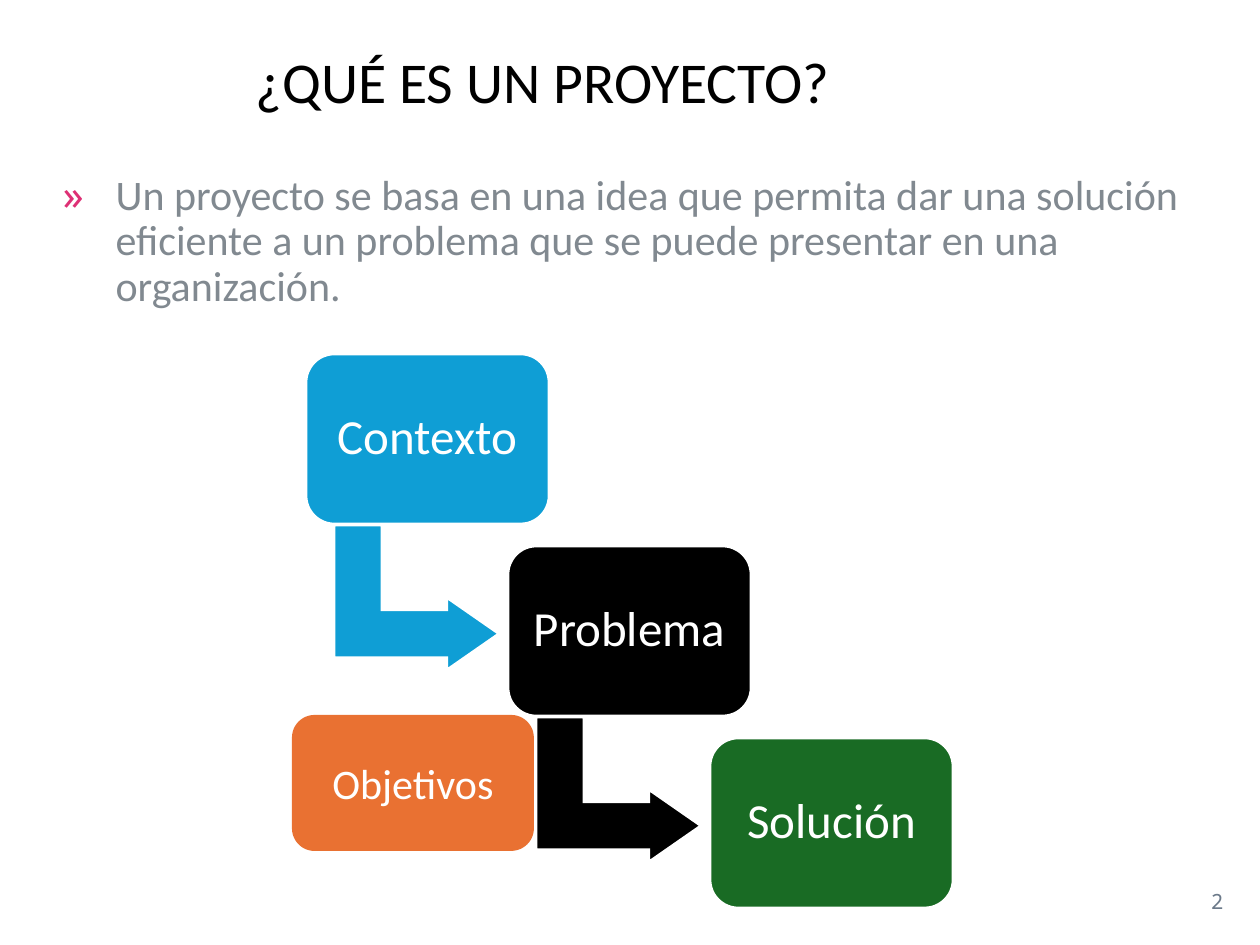
from lxml.etree import SubElement
from pptx import Presentation
from pptx.dml.color import RGBColor
from pptx.enum.shapes import MSO_SHAPE
from pptx.enum.text import MSO_ANCHOR, MSO_AUTO_SIZE, PP_ALIGN
from pptx.oxml.ns import qn
from pptx.util import Emu, Pt

PX_PER_INCH = 126
WHITE = RGBColor(0xFF, 0xFF, 0xFF)
BLACK = RGBColor(0x00, 0x00, 0x00)
BLUE = RGBColor(0x0F, 0x9E, 0xD5)
GREEN = RGBColor(0x19, 0x6B, 0x24)
ORANGE = RGBColor(0xE9, 0x71, 0x32)
GRAY = RGBColor(0x81, 0x89, 0x90)
SLATE = RGBColor(0x6C, 0x7A, 0x8A)
PINK = RGBColor(0xDE, 0x30, 0x75)

STAGES = [("Contexto", BLUE), ("Problema", BLACK), ("Solución", GREEN)]
STEP_X, STEP_Y = 202, 192


def px(n):
    """Turn pixels into EMU."""
    return Emu(round(n * 914400 / PX_PER_INCH))


def place(sp, left, top, width, height):
    """Move and size a shape in pixels."""
    sp.left, sp.top, sp.width, sp.height = map(px, (left, top, width, height))


def write(sp, text, size, color, font="Calibri", align=PP_ALIGN.LEFT,
          anchor=MSO_ANCHOR.MIDDLE, spacing=0.9):
    """Put one formatted paragraph in a shape and return the paragraph."""
    tf = sp.text_frame
    tf.word_wrap = True
    tf.auto_size = MSO_AUTO_SIZE.NONE
    tf.vertical_anchor = anchor
    p = tf.paragraphs[0]
    p.alignment = align
    p.line_spacing = spacing
    p.space_before = Pt(0)
    r = p.add_run()
    r.text = text
    r.font.name = font
    r.font.size = Pt(size)
    r.font.color.rgb = color
    return p


def add_bullet(p, char, color, margin, hang):
    """Give a paragraph a coloured bullet and a hanging indent."""
    pPr = p._p.get_or_add_pPr()
    pPr.set("marL", str(px(margin)))
    pPr.set("indent", str(-px(hang)))
    clr = SubElement(pPr, qn("a:buClr"))
    SubElement(clr, qn("a:srgbClr"), val=str(color))
    SubElement(pPr, qn("a:buFont"), typeface="Noto Sans Mono")
    SubElement(pPr, qn("a:buChar"), char=char)


def add_block(s, kind, box, fill, outlined=True):
    """Add a filled preset shape, with a sharp white outline if wanted."""
    sp = s.shapes.add_shape(kind, *map(px, box))
    sp.shadow.inherit = False
    sp.fill.solid()
    sp.fill.fore_color.rgb = fill
    if outlined:
        sp.line.color.rgb = WHITE
        sp.line.width = Pt(1.5)
        SubElement(sp.line._get_or_add_ln(), qn("a:miter"), lim="800000")
    else:
        sp.line.fill.background()
    return sp


def add_arrow(s, left, top, fill):
    """Add a bent arrow that leads down and to the right."""
    sp = add_block(s, MSO_SHAPE.BENT_UP_ARROW, (left, top, 145, 165), fill)
    sp.rotation = 90
    for i, value in enumerate((0.33, 0.25, 0.36)):
        sp.adjustments[i] = value


def add_stage(s, left, top, text, fill):
    """Add a rounded box with the name of a stage."""
    sp = add_block(s, MSO_SHAPE.ROUNDED_RECTANGLE, (left, top, 243, 170), fill)
    tf = sp.text_frame
    tf.margin_left = tf.margin_right = px(6)
    write(sp, text, 28, WHITE, align=PP_ALIGN.CENTER)


def add_staircase(s):
    """Add the stages as descending steps joined by bent arrows."""
    for i, (text, fill) in enumerate(STAGES):
        dx, dy = i * STEP_X, i * STEP_Y
        if i < len(STAGES) - 1:
            add_arrow(s, 344 + dx, 515 + dy, fill)
        add_stage(s, 306 + dx, 354 + dy, text, fill)


def main():
    """Build the slide and save it."""
    prs = Presentation()
    prs.slide_width, prs.slide_height = px(1260), px(945)
    s = prs.slides.add_slide(prs.slide_layouts[1])
    title, body = s.placeholders

    place(title, 243, 29, 1038, 112)
    write(title, "¿QUÉ ES UN PROYECTO?", 33, BLACK)

    place(body, 40, 168, 1179, 173)
    p = write(body, "Un proyecto se basa en una idea que permita dar una solución "
              "eficiente a un problema que se puede presentar en una organización.",
              24, GRAY, anchor=MSO_ANCHOR.TOP)
    add_bullet(p, "»", PINK, margin=63, hang=55)

    add_staircase(s)
    goals = add_block(s, MSO_SHAPE.ROUNDED_RECTANGLE, (292, 715, 242, 136),
                      ORANGE, outlined=False)
    write(goals, "Objetivos", 24, WHITE, align=PP_ALIGN.CENTER, spacing=1.0)

    number = s.shapes.add_textbox(*map(px, (953, 876, 283, 50)))
    write(number, "2", 12, SLATE, font="Noto Sans Mono",
          align=PP_ALIGN.RIGHT, spacing=1.0)

    prs.save("out.pptx")


if __name__ == "__main__":
    main()
